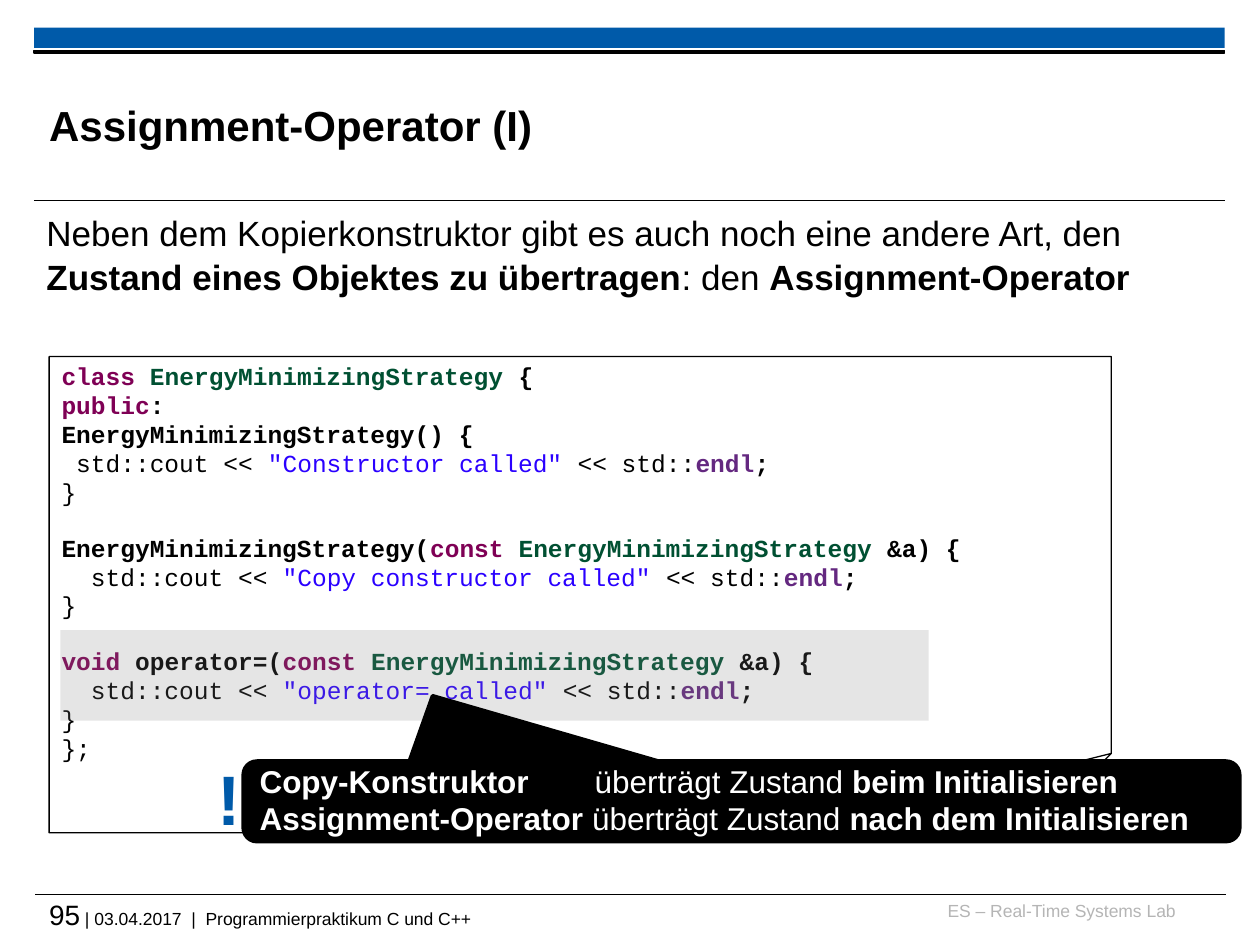
from lxml import etree
from pptx import Presentation
from pptx.dml.color import RGBColor
from pptx.enum import shapes, text
from pptx.oxml import ns
from pptx.util import Emu, Pt

PX = 9144
COLORS = {
    "ink": "000000", "paper": "FFFFFF", "blue": "005AA9", "muted": "B5B5B5",
    "keyword": "7F0055", "type": "005032", "string": "2A00FF",
    "member": "642880", "marker": "7F7F7F",
}
KINDS = shapes.MSO_SHAPE
ALIGN = text.PP_ALIGN
ANCHOR = text.MSO_ANCHOR


def px(*lengths):
    return [Emu(length * PX) for length in lengths]


def rgb(name):
    return RGBColor.from_string(COLORS[name])


def add_block(slide, kind, box, fill=None, line=None, alpha=None):
    block = slide.shapes.add_shape(kind, *px(*box))
    block.shadow.inherit = False
    if fill:
        block.fill.solid()
        block.fill.fore_color.rgb = rgb(fill)
    else:
        block.fill.background()
    if alpha:
        color = block.fill._xPr.find(".//" + ns.qn("a:srgbClr"))
        etree.SubElement(color, ns.qn("a:alpha"), val=str(alpha * 1000))
    if line:
        block.line.color.rgb = rgb("ink")
        block.line.width = Pt(line)
    else:
        block.line.fill.background()
    return block


def add_rule(slide, x, y, width):
    rule = slide.shapes.add_connector(
        shapes.MSO_CONNECTOR.STRAIGHT, *px(x, y, x + width, y))
    rule.line.color.rgb = rgb("ink")
    rule.line.width = Pt(0.6)
    etree.SubElement(rule._element.spPr, ns.qn("a:effectLst"))


def write(frame, lines, size, font="Arial", color="ink", align=ALIGN.LEFT,
          anchor=ANCHOR.TOP, spacing=None, gap=0, tab=None, inset=(10, 5)):
    frame.word_wrap = True
    frame.vertical_anchor = anchor
    frame.margin_left = frame.margin_right = px(inset[0])[0]
    frame.margin_top = frame.margin_bottom = px(inset[1])[0]
    after_gap = False
    first = True
    for runs in lines:
        if not runs:
            after_gap = True
            continue
        paragraph = frame.paragraphs[0] if first else frame.add_paragraph()
        first = False
        if tab:
            stops = etree.SubElement(paragraph._p.get_or_add_pPr(), ns.qn("a:tabLst"))
            etree.SubElement(stops, ns.qn("a:tab"), pos=str(tab * PX), algn="l")
        paragraph.alignment = align
        if spacing:
            paragraph.line_spacing = spacing
        if after_gap:
            paragraph.space_before = Pt(gap)
            after_gap = False
        for words, style in runs:
            run = paragraph.add_run()
            run.text = words
            run.font.name = font
            run.font.size = Pt(style.get("size", size))
            run.font.bold = style.get("bold", False)
            run.font.color.rgb = rgb(style.get("color", color))


def add_text(slide, box, lines, size, **style):
    write(slide.shapes.add_textbox(*px(*box)).text_frame, lines, size, **style)


PLAIN = {}
BOLD = {"bold": True}
KEYWORD = {"bold": True, "color": "keyword"}
TYPE = {"bold": True, "color": "type"}
STRING = {"color": "string"}
MEMBER = {"bold": True, "color": "member"}
CLASS_NAME = "EnergyMinimizingStrategy"


def print_line(indent, message):
    return [(indent + "std::cout << ", PLAIN), (f'"{message}" ', STRING),
            ("<< std::", PLAIN), ("endl", MEMBER), (";", BOLD)]


def copy_parameter():
    return [("const ", KEYWORD), (CLASS_NAME, TYPE), (" &a) {", BOLD)]


def header(slide, x, y, width):
    add_block(slide, KINDS.RECTANGLE, (x, y, width, 16), fill="blue")
    add_block(slide, KINDS.RECTANGLE, (x, y + 18, width, 2), fill="ink", line=0.75)
    add_text(slide, (x + 12, y + 31, 752, 92), [[("Assignment-Operator (I)", BOLD)]],
             24, anchor=ANCHOR.MIDDLE, inset=(0, 0))
    add_rule(slide, x, y + 137, width)


def introduction(slide, x, y, width, height):
    add_text(slide, (x, y, width, height), [[
        ("Neben dem Kopierkonstruktor gibt es auch noch eine andere Art, den ", PLAIN),
        ("Zustand eines Objektes zu übertragen", BOLD),
        (": den ", PLAIN),
        ("Assignment-Operator", BOLD),
    ]], 20, spacing=1.04)


def code_listing(slide, x, y, width, height):
    closing = [("}", PLAIN)]
    code = [
        [("class ", KEYWORD), (CLASS_NAME, TYPE), (" {", BOLD)],
        [("public", KEYWORD), (":", BOLD)],
        [(CLASS_NAME + "() {", BOLD)],
        print_line(" ", "Constructor called"),
        closing,
        [],
        [(CLASS_NAME + "(", BOLD), *copy_parameter()],
        print_line("  ", "Copy constructor called"),
        closing,
        [],
        [("void ", KEYWORD), ("operator=(", BOLD), *copy_parameter()],
        print_line("  ", "operator= called"),
        closing,
        [("};", PLAIN)],
    ]
    listing = add_block(slide, KINDS.FOLDED_CORNER, (x, y, width, height), line=0.75)
    write(listing.text_frame, code, 14, font="Courier New", spacing=0.98, gap=15.6)
    add_block(slide, KINDS.RECTANGLE, (x + 9, y + 217, 689, 72), fill="marker", alpha=20)


def takeaway(slide, x, y, width, height):
    callout = add_block(slide, KINDS.ROUNDED_RECTANGULAR_CALLOUT,
                        (x, y, width, height), fill="ink", line=2)
    for index, value in enumerate((-0.311, -1.313, 0.167)):
        callout.adjustments[index] = round(value, 2)
    write(callout.text_frame, [
        [("Copy-Konstruktor\t", BOLD), ("überträgt Zustand ", PLAIN),
         ("beim Initialisieren", BOLD)],
        [("Assignment-Operator ", BOLD), ("überträgt Zustand ", PLAIN),
         ("nach dem Initialisieren", BOLD)],
    ], 18, color="paper", anchor=ANCHOR.MIDDLE, spacing=0.98, tab=266)
    add_text(slide, (x - 22, y - 1, 22, 63), [[("!", BOLD)]], 40,
             color="blue", align=ALIGN.CENTER, spacing=0.98, inset=(0, 0))


def footer(slide, x, y, width):
    add_rule(slide, x, y, width)
    add_text(slide, (x + 708, y + 4, 197, 25), [[("ES – Real-Time Systems Lab", PLAIN)]],
             10, color="muted", align=ALIGN.RIGHT, inset=(0, 0))
    add_text(slide, (x + 11, y + 2, 600, 33), [[
        ("95", {"size": 16}),
        (" | 03.04.2017  |  Programmierpraktikum C und C++", PLAIN),
    ]], 10, inset=(0, 0))


def main():
    deck = Presentation()
    deck.slide_width, deck.slide_height = px(1000, 750)
    slide = deck.slides.add_slide(deck.slide_layouts[6])
    footer(slide, 28, 710, 945)
    header(slide, 27, 22, 945)
    introduction(slide, 27, 162, 945, 79)
    code_listing(slide, 39, 283, 843, 378)
    takeaway(slide, 193, 604, 791, 64)
    deck.save("out.pptx")


if __name__ == "__main__":
    main()
